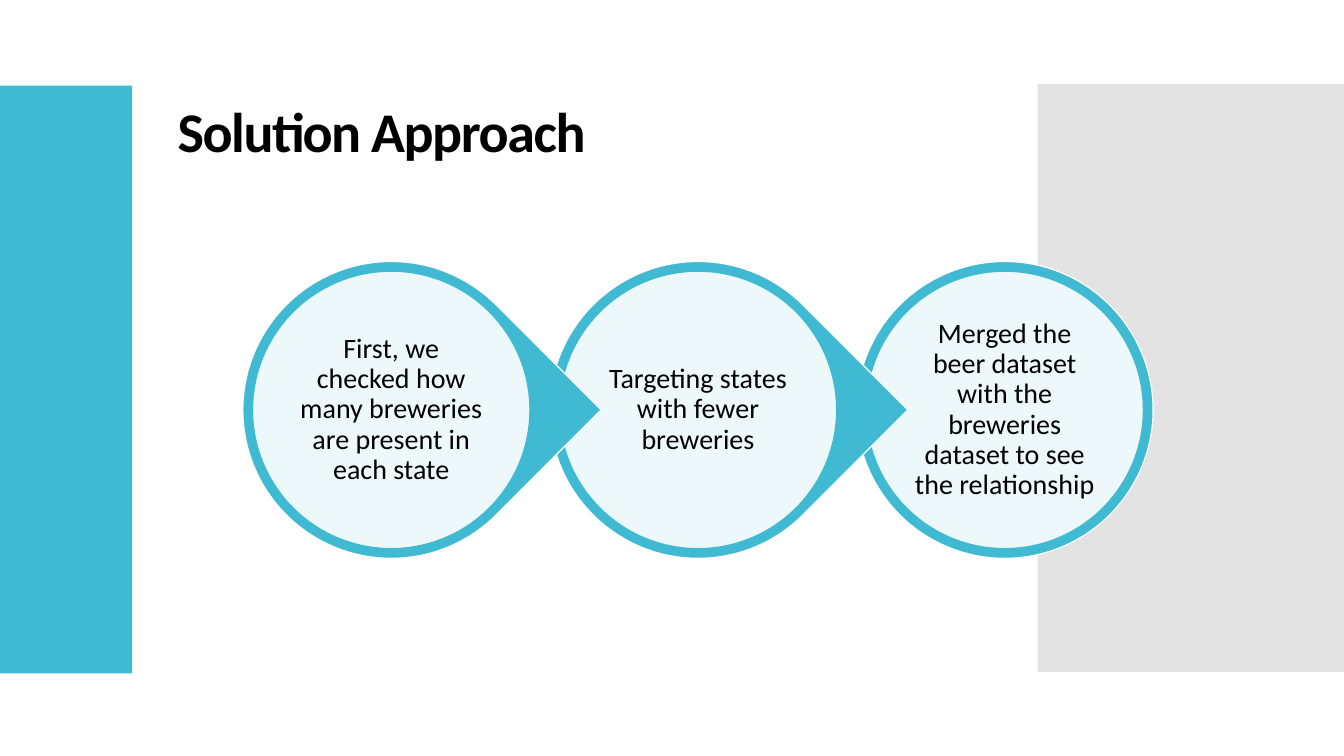
from dataclasses import dataclass

from lxml import etree
from pptx import Presentation
from pptx.dml.color import RGBColor
from pptx.enum.shapes import MSO_SHAPE
from pptx.enum.text import MSO_ANCHOR, MSO_AUTO_SIZE, PP_ALIGN
from pptx.oxml.ns import qn
from pptx.util import Cm, Pt

RECTANGLE, OVAL, TEARDROP = MSO_SHAPE.RECTANGLE, MSO_SHAPE.OVAL, MSO_SHAPE.TEAR
LEFT, CENTER = PP_ALIGN.LEFT, PP_ALIGN.CENTER
BOTTOM, MIDDLE = MSO_ANCHOR.BOTTOM, MSO_ANCHOR.MIDDLE
NO_AUTOFIT = MSO_AUTO_SIZE.NONE


@dataclass(frozen=True)
class Theme:
    """Colours, font and type sizes of the slide."""
    accent: str = "40BAD2"
    grey: str = "C8C8C8"
    white: str = "FFFFFF"
    text: str = "000000"
    font: str = "Calibri"
    title_size: int = 40
    body_size: int = 20
    outline: float = 0.85


theme = Theme()


def add_filled(kind, left, top, width, height, fill, line=None, opacity=100):
    """Add a preset shape, measured in cm, with a fill and an optional outline."""
    shape = page.shapes.add_shape(kind, Cm(left), Cm(top), Cm(width), Cm(height))
    shape.shadow.inherit = False
    shape.fill.solid()
    shape.fill.fore_color.rgb = RGBColor.from_string(fill)
    if opacity < 100:
        color = shape.fill._xPr.find(qn("a:solidFill"))[0]
        etree.SubElement(color, qn("a:alpha")).set("val", str(opacity * 1000))
    if line:
        shape.line.color.rgb = RGBColor.from_string(line)
        shape.line.width = Pt(theme.outline)
    else:
        shape.line.fill.background()
    return shape


def write_text(box, text, size, bold=False, align=LEFT, anchor=MIDDLE, inset=None, spacing=None):
    """Write one formatted paragraph into a box; inset in cm, letter spacing in points."""
    frame = box.text_frame
    frame.word_wrap = True
    frame.auto_size = NO_AUTOFIT
    frame.vertical_anchor = anchor
    if inset is not None:
        frame.margin_left = frame.margin_right = Cm(inset)
        frame.margin_top = frame.margin_bottom = Cm(inset)
    para = frame.paragraphs[0]
    para.alignment = align
    para.line_spacing = 0.9
    span = para.add_run()
    span.text = text
    span.font.name = theme.font
    span.font.size = Pt(size)
    span.font.bold = bold
    span.font.color.rgb = RGBColor.from_string(theme.text)
    if spacing is not None:
        span._r.get_or_add_rPr().set("spc", str(spacing * 100))


deck = Presentation()
deck.slide_width, deck.slide_height = Cm(33.87), Cm(19.05)
page = deck.slides.add_slide(deck.slide_layouts[5])

# Title and side bands
title = page.shapes.title
title.left, title.top, title.width, title.height = Cm(4.22), Cm(2.16), Cm(19.25), Cm(2.11)
write_text(title, "Solution Approach", theme.title_size, bold=True, anchor=BOTTOM, spacing=-1)
add_filled(RECTANGLE, 0, 2.16, 3.33, 14.81, theme.accent)
add_filled(RECTANGLE, 26.15, 2.12, 7.72, 14.81, theme.grey, opacity=50)

# Steps, drawn from last to first so that each pointer overlaps the next circle
steps = [
    "First, we checked how many breweries are present in each state",
    "Targeting states with fewer breweries",
    "Merged the beer dataset with the breweries dataset to see the relationship",
]
first_center, step_gap, center_y = 9.86, 7.73, 10.33
ring_size, disc_size, label_size = 7.48, 6.99, 5.0

for index, step in reversed(list(enumerate(steps))):
    center_x = first_center + index * step_gap
    is_last = index == len(steps) - 1
    ring = add_filled(OVAL if is_last else TEARDROP, center_x - ring_size / 2,
                      center_y - ring_size / 2, ring_size, ring_size,
                      theme.accent, line=theme.white)
    if not is_last:
        ring.rotation = 45
    add_filled(OVAL, center_x - disc_size / 2, center_y - disc_size / 2,
               disc_size, disc_size, theme.white, line=theme.accent, opacity=90)
    label = page.shapes.add_textbox(Cm(center_x - label_size / 2), Cm(center_y - label_size / 2),
                                    Cm(label_size), Cm(label_size))
    write_text(label, step, theme.body_size, align=CENTER, inset=0.08)

deck.save("out.pptx")
